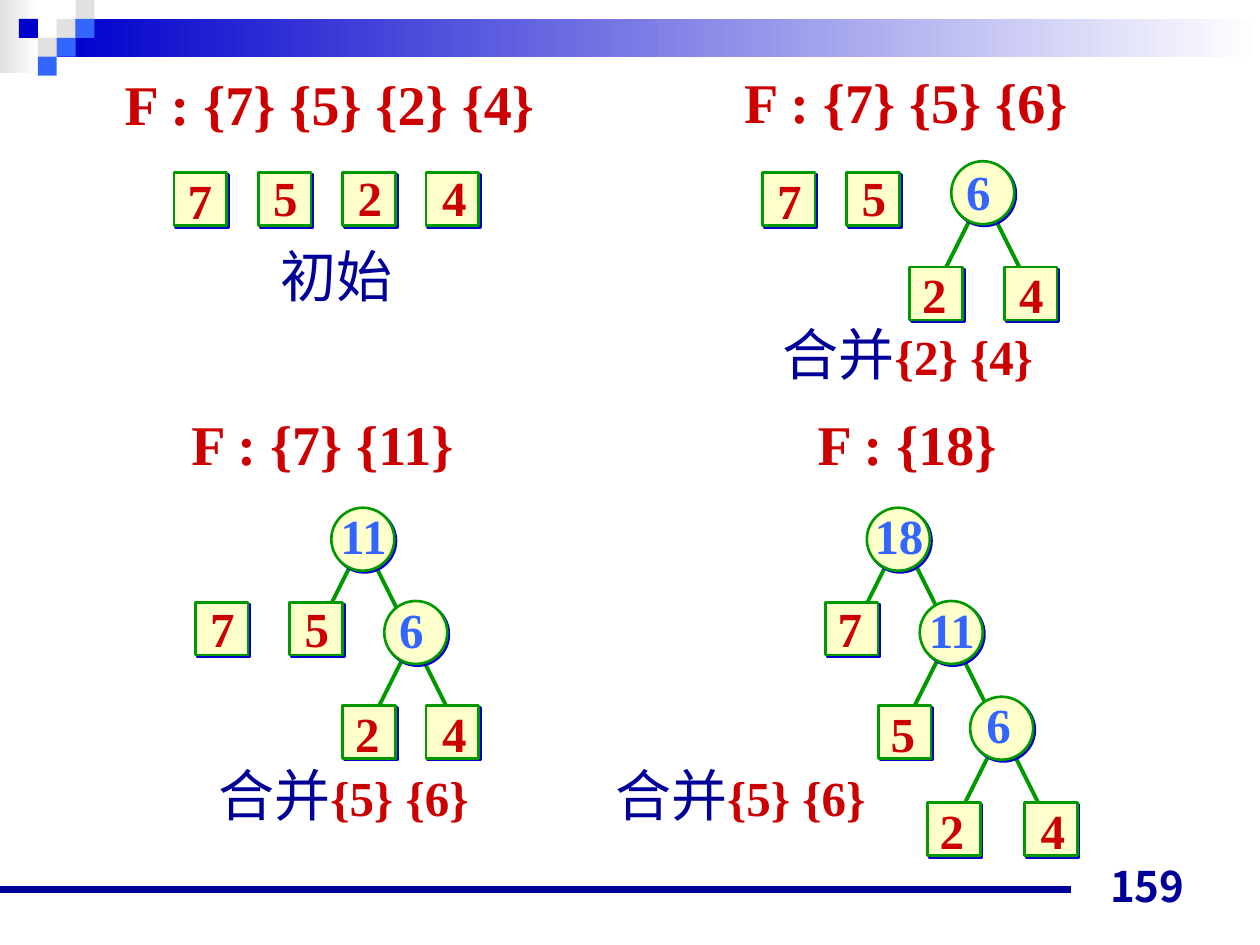
import lxml.etree
import pptx
import pptx.dml.color
import pptx.enum.dml
import pptx.enum.shapes
import pptx.enum.text
import pptx.oxml.ns
import pptx.util

PX = 9144  # EMU per px, 100 px to the inch
SHAPE = pptx.enum.shapes.MSO_SHAPE
ALIGN = pptx.enum.text.PP_ALIGN
ANCHOR = pptx.enum.text.MSO_ANCHOR
COLOURS = {
    "white": "FFFFFF", "grey": "E1E1E1", "blue": "0000CC", "sky": "3366FF",
    "navy": "000099", "green": "009900", "cream": "FFFFCC", "red": "CC0000",
}
HEADING = {"size": 32, "bold": True, "colour": "red"}
LEAF_TEXT = {"size": 28, "bold": True, "colour": "red"}
PARENT_TEXT = {"size": 28, "bold": True, "colour": "sky"}
CAPTION = {"size": 32, "bold": False, "colour": "navy"}
PAGE_NUMBER = {"size": 24, "bold": True, "colour": "navy", "name": "Noto Sans CJK JP"}
LEAF_SIDE, PARENT_SIDE = 42, 50

# Positions are relative to the panel. Leaves: key, x, y, key offset.
# Parents: key, x, y, key offset, depth at which the left and right branches start.
PANELS = [
    {"at": (88, 50), "heading": ("F : {7} {5} {2} {4}", 0, 347),
     "caption": (125, 136, 109, [("初始", CAPTION)]),
     "leaves": [("7", 50, 87, 1, -7), ("5", 117, 87, 2, -9),
                ("2", 184, 87, 2, -9), ("4", 250, 87, 3, -9)],
     "parents": []},
    {"at": (580, 48), "heading": ("F : {7} {5} {6}", 0, 278),
     "caption": (21, 200, 239, [("合并", CAPTION), ("{2} {4}", LEAF_TEXT)]),
     "leaves": [("7", 25, 89, 2, -7), ("5", 92, 89, 2, -9),
                ("2", 142, 164, 0, -7), ("4", 217, 164, 2, -7)],
     "parents": [("6", 175, 80, 2, -5, 42, 42)]},
    {"at": (140, 320), "heading": ("F : {7} {11} ", 0, 243),
     "caption": (13, 278, 239, [("合并", CAPTION), ("{5} {6}", LEAF_TEXT)]),
     "leaves": [("7", 15, 158, 2, -8), ("5", 90, 158, 2, -8),
                ("2", 132, 240, 0, -7), ("4", 198, 240, 3, -7)],
     "parents": [("11", 123, 83, -8, -7, 42, 42), ("6", 165, 157, 2, -6, 41, 51)]},
    {"at": (468, 320), "heading": ("F : {18} ", 170, 175),
     "caption": (0, 278, 239, [("合并", CAPTION), ("{5} {6}", LEAF_TEXT)]),
     "leaves": [("7", 187, 158, 0, -8), ("5", 229, 240, 0, -7),
                ("2", 268, 317, 0, -7), ("4", 345, 317, 3, -7)],
     "parents": [("18", 220, 83, -8, -7, 42, 34), ("11", 262, 157, -8, -6, 41, 43),
                 ("6", 302, 233, 3, -7, 42, 42)]},
]


def colour(name):
    return pptx.dml.color.RGBColor.from_string(COLOURS[name])


def emu(*lengths):
    return [length * PX for length in lengths]


def add_effects(shape):
    return lxml.etree.SubElement(shape._element.spPr, pptx.oxml.ns.qn("a:effectLst"))


def add_text(page, x, y, width, height, spans, align=ALIGN.CENTER,
             anchor=ANCHOR.MIDDLE, fitted=True):
    """Place one line of text; a fitted box grows around its unwrapped line."""
    box = page.shapes.add_textbox(*emu(x, y, width, height))
    frame = box.text_frame
    frame.word_wrap = not fitted
    frame.vertical_anchor = anchor
    if fitted:
        frame.auto_size = pptx.enum.text.MSO_AUTO_SIZE.SHAPE_TO_FIT_TEXT
    para = frame.paragraphs[0]
    para.alignment = align
    for text, style in spans:
        span = para.add_run()
        span.text = text
        values = {"name": style.get("name", "Times New Roman"),
                  "size": pptx.util.Pt(style["size"]), "bold": style["bold"]}
        for attribute, value in values.items():
            setattr(span.font, attribute, value)
        span.font.color.rgb = colour(style["colour"])


def add_line(page, start, end, line_colour, width):
    line = page.shapes.add_connector(
        pptx.enum.shapes.MSO_CONNECTOR.STRAIGHT, *emu(*start, *end))
    line.line.color.rgb = colour(line_colour)
    line.line.width = pptx.util.Pt(width)
    add_effects(line)


def add_block(page, x, y, width, height, fill):
    """Place a borderless rectangle; a pair of colours gives a right-to-left gradient."""
    block = page.shapes.add_shape(SHAPE.RECTANGLE, *emu(x, y, width, height))
    block.shadow.inherit = False
    block.line.fill.background()
    if isinstance(fill, tuple):
        block.fill.gradient()
        block.fill.gradient_angle = 180
        for stop, name in zip(block.fill.gradient_stops, fill):
            stop.color.rgb = colour(name)
    else:
        block.fill.solid()
        block.fill.fore_color.rgb = colour(fill)


def add_node(page, kind, x, y, side):
    node = page.shapes.add_shape(kind, *emu(x, y, side, side))
    node.fill.solid()
    node.fill.fore_color.rgb = colour("cream")
    node.line.color.rgb = colour("green")
    node.line.width = pptx.util.Pt(1.5)
    shadow = lxml.etree.SubElement(
        add_effects(node), pptx.oxml.ns.qn("a:outerShdw"),
        dist=str(int(pptx.util.Pt(1.4))), dir="2700000", algn="ctr", rotWithShape="0")
    lxml.etree.SubElement(shadow, pptx.oxml.ns.qn("a:srgbClr"), val=COLOURS["blue"])


def add_header(page, x, y):
    add_block(page, x, y, 31, 58, ("white", "grey"))
    add_block(page, x + 45, y + 15, 955, 30, ("white", "blue"))
    for column, row, fill in [(3, 1, "grey"), (4, 0, "grey"), (4, 1, "sky"), (2, 2, "grey"),
                              (1, 1, "blue"), (3, 2, "sky"), (2, 3, "sky")]:
        add_block(page, x + 15 * column, y + 15 * row, 15, 15, fill)


def add_footer(page, x, y):
    add_line(page, (x, y + 28), (x + 850, y + 28), "navy", 4.5)
    add_text(page, x + 717, y, 233, 50, [("159", PAGE_NUMBER)],
             ALIGN.RIGHT, ANCHOR.BOTTOM, fitted=False)


def add_panel(page, panel):
    """Draw one merging step: forest heading, trees and caption."""
    left, top = panel["at"]
    text, x, width = panel["heading"]
    add_text(page, left + x, top, width, 64, [(text, HEADING)])
    for key, x, y, key_x, key_y, *depths in panel["parents"]:
        for start_x, run, depth in zip((17, 33), (-25, 25), depths):
            start = (left + x + start_x, top + y + depth)
            add_line(page, start, (start[0] + run, start[1] + 50), "green", 2.25)
    for nodes, kind, side, style in [
            (panel["leaves"], SHAPE.RECTANGLE, LEAF_SIDE, LEAF_TEXT),
            (panel["parents"], SHAPE.OVAL, PARENT_SIDE, PARENT_TEXT)]:
        for key, x, y, key_x, key_y, *depths in nodes:
            add_node(page, kind, left + x, top + y, side)
            add_text(page, left + x + key_x, top + y + key_y,
                     39 if len(key) == 1 else 67, 57, [(key, style)])
    x, y, width, spans = panel["caption"]
    add_text(page, left + x, top + y, width, 64, spans)


def main():
    deck = pptx.Presentation()
    deck.slide_width, deck.slide_height = emu(1000, 750)
    page = deck.slides.add_slide(deck.slide_layouts[6])
    add_header(page, 0, 0)
    add_footer(page, 0, 678)
    for panel in PANELS:
        add_panel(page, panel)
    deck.save("out.pptx")


if __name__ == "__main__":
    main()
